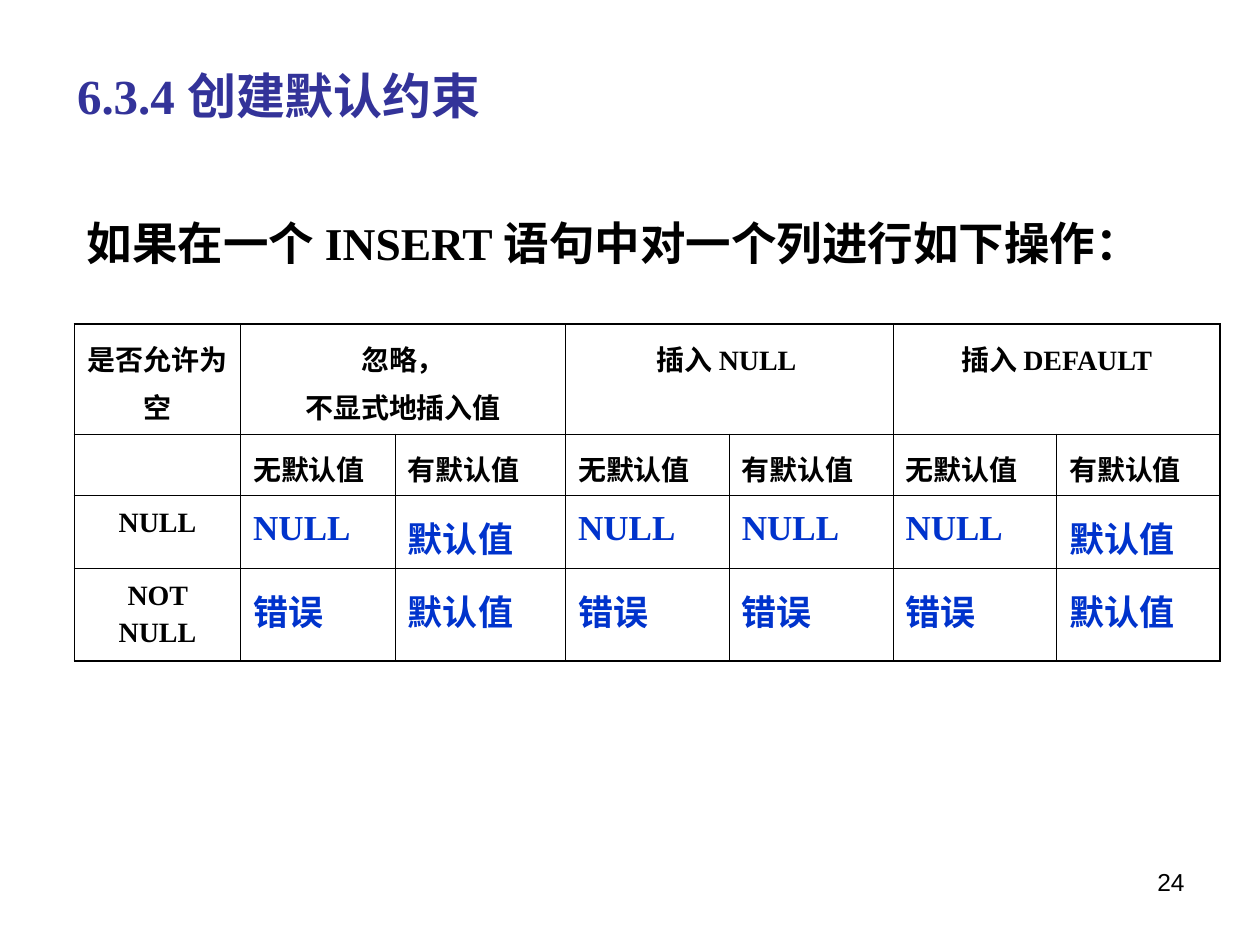
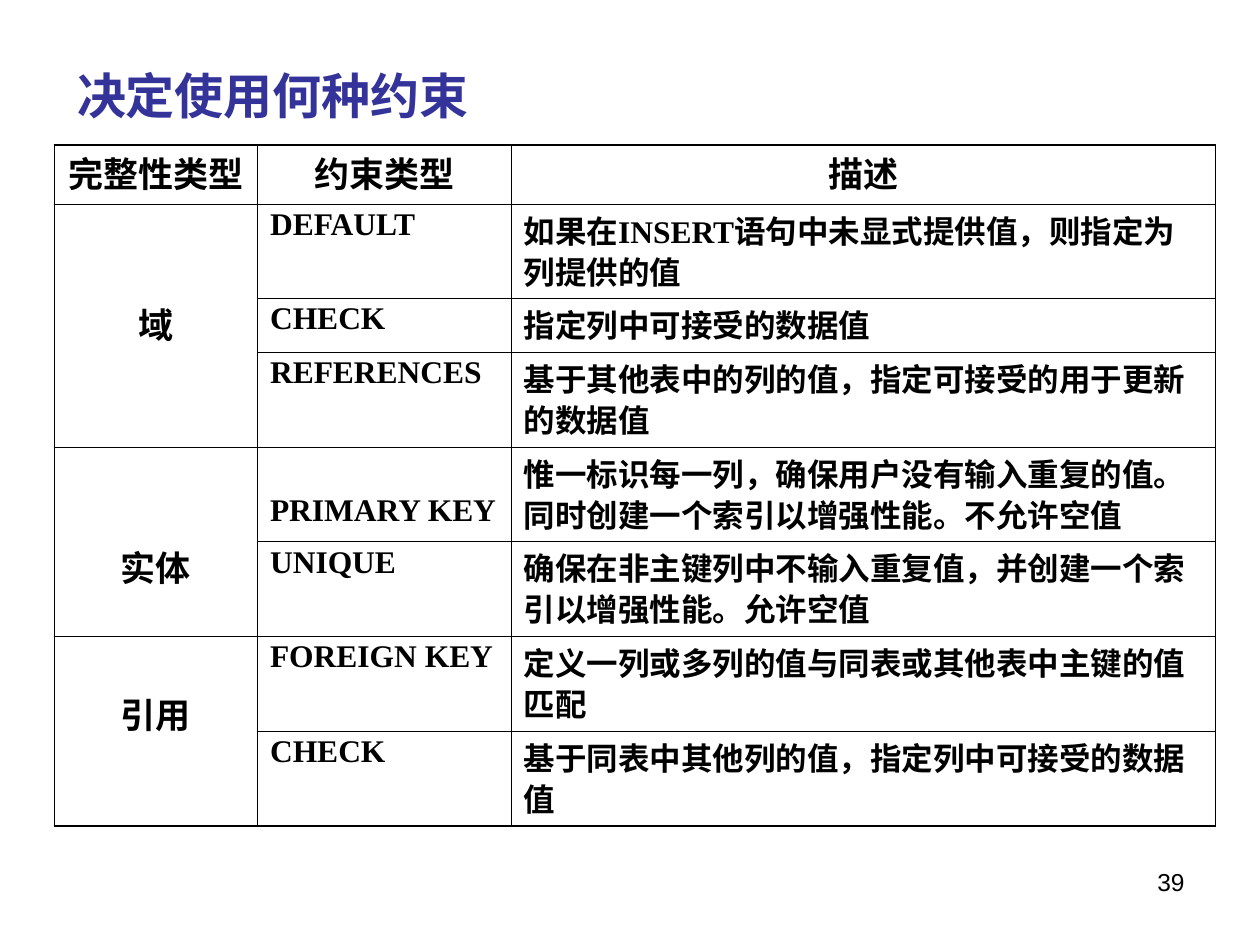
"""Build two slides on default constraints and on choosing a constraint type."""
from dataclasses import dataclass

from lxml import etree
from pptx import Presentation
from pptx import util as u
from pptx.dml.color import RGBColor
from pptx.enum import text
from pptx.oxml import ns

CENTER = text.PP_ALIGN.CENTER
LEFT = text.PP_ALIGN.LEFT
RIGHT = text.PP_ALIGN.RIGHT
TITLE_ONLY = 5


@dataclass(frozen=True)
class Theme:
    """Colours, fonts, type sizes and line widths of the slides."""
    title_color: str = "333399"
    ink: str = "000000"
    result_color: str = "0033CC"
    shadow: str = "808080"
    serif: str = "Times New Roman"
    sans: str = "Arial"
    chinese: str = "Noto Sans CJK SC"
    title_size: int = 28
    lead_size: int = 26
    large: int = 20
    medium: int = 18
    small: int = 16
    number_size: int = 14
    outer_line: float = 1.08
    inner_line: float = 0.45


THEME = Theme()

INSERT_RESULTS = [
    ["是否允许为空", "忽略，\n不显式地插入值", "", "插入 |NULL ", "", "插入 |DEFAULT", ""],
    [""] + ["无默认值", "有默认值"] * 3,
    ["NULL", "NULL", "默认值", "NULL", "NULL", "NULL", "默认值"],
    ["NOT NULL", "错误", "默认值", "错误", "错误", "错误", "默认值"],
]

CONSTRAINTS = [
    ["完整性类型", "约束类型", "描述"],
    ["域", "DEFAULT", "如果在|INSERT|语句中未显式提供值，则指定为列提供的值"],
    ["", "CHECK", "指定列中可接受的数据值"],
    ["", "REFERENCES", "基于其他表中的列的值，指定可接受的用于更新的数据值"],
    ["实体", "PRIMARY KEY",
     "惟一标识每一列，确保用户没有输入重复的值。同时创建一个索引以增强性能。不允许空值"],
    ["", "UNIQUE", "确保在非主键列中不输入重复值，并创建一个索引以增强性能。允许空值"],
    ["引用", "FOREIGN KEY", "定义一列或多列的值与同表或其他表中主键的值匹配"],
    ["", "CHECK", "基于同表中其他列的值，指定列中可接受的数据值"],
]


def add_element(parent, tag, **attributes):
    """Append a DrawingML child element and return it."""
    return etree.SubElement(parent, ns.qn(tag), attributes)


def write(paragraph, content, size, color=THEME.ink, bold=True, font=None,
          align=LEFT, spacing=None):
    """Fill a paragraph; a bar in the content separates scripts."""
    parts = content.split("|")
    if len(parts) == 1:
        paragraph.text = content
    else:
        for part in parts:
            run = paragraph.add_run()
            run.text = part
            run.font.name = THEME.serif if part.isascii() else THEME.chinese
    paragraph.alignment = align
    paragraph.line_spacing = spacing
    paragraph.font.size = u.Pt(size)
    paragraph.font.bold = bold
    paragraph.font.color.rgb = RGBColor.from_string(color)
    paragraph.font.name = font or (THEME.serif if content.isascii() else THEME.chinese)
    latin = paragraph._p.pPr.find(".//" + ns.qn("a:latin"))
    east_asian = add_element(latin.getparent(), "a:ea", typeface=THEME.chinese)
    latin.addnext(east_asian)


def add_text_shadow(paragraph):
    """Give the runs of a paragraph a small grey shadow."""
    for run in paragraph.runs:
        effects = add_element(run._r.get_or_add_rPr(), "a:effectLst")
        shadow = add_element(effects, "a:outerShdw", dist="35921", dir="2700000")
        add_element(shadow, "a:srgbClr", val=THEME.shadow)


def add_titled_slide(presentation, title, width, font):
    """Add a title-only slide and format its title."""
    slide = presentation.slides.add_slide(presentation.slide_layouts[TITLE_ONLY])
    shape = slide.shapes.title
    shape.left, shape.top = u.Cm(1.3), u.Cm(1.14)
    shape.width, shape.height = u.Cm(width), u.Cm(1.55)
    frame = shape.text_frame
    frame.auto_size = text.MSO_AUTO_SIZE.NONE
    frame.vertical_anchor = text.MSO_ANCHOR.MIDDLE
    write(frame.paragraphs[0], title, THEME.title_size, THEME.title_color, font=font)
    add_text_shadow(frame.paragraphs[0])
    return slide


def add_text(slide, box, content, size, **style):
    """Add a wrapping text box of one paragraph."""
    frame = slide.shapes.add_textbox(*map(u.Cm, box)).text_frame
    frame.word_wrap = True
    write(frame.paragraphs[0], content, size, **style)


def add_slide_number(slide, number):
    """Add the page number at the lower right."""
    add_text(slide, (18.21, 17.35, 5.92, 1.32), str(number), THEME.number_size,
             bold=False, font=THEME.sans, align=RIGHT)


def draw_borders(cell, outer_sides):
    """Draw the four sides of a cell, heavier on the table's edge."""
    properties = cell._tc.get_or_add_tcPr()
    for index, side in enumerate("LRTB"):
        points = THEME.outer_line if side in outer_sides else THEME.inner_line
        line = etree.Element(ns.qn(f"a:ln{side}"), w=str(u.Pt(points)))
        add_element(add_element(line, "a:solidFill"), "a:srgbClr", val=THEME.ink)
        properties.insert(index, line)


def add_grid(slide, corner, widths, heights, rows, merges, style_of):
    """Add a ruled table; style_of gives the text style of a cell."""
    size = sum(widths), sum(heights)
    table = slide.shapes.add_table(len(rows), len(widths), *map(u.Cm, corner + size)).table
    table.first_row = table.horz_banding = False
    for column, width in zip(table.columns, widths):
        column.width = u.Cm(width)
    for row, height in zip(table.rows, heights):
        row.height = u.Cm(height)
    for first, last in merges:
        table.cell(*first).merge(table.cell(*last))
    for r, row in enumerate(rows):
        for c, content in enumerate(row):
            cell = table.cell(r, c)
            cell.fill.background()
            edges = {"L": c == 0, "T": r == 0,
                     "R": c + cell.span_width == len(widths),
                     "B": r + cell.span_height == len(rows)}
            draw_borders(cell, [side for side, outer in edges.items() if outer])
            if not cell.is_spanned:
                write(cell.text_frame.paragraphs[0], content, **style_of(r, c))
    return table


def insert_result_style(row, column):
    """Return the text style of a cell in the insert table."""
    is_result = row > 1 and column > 0
    return {"size": THEME.large if is_result else THEME.small,
            "color": THEME.result_color if is_result else THEME.ink,
            "align": CENTER if row == 0 or column == 0 else LEFT,
            "spacing": 1.2}


def constraint_style(row, column):
    """Return the text style of a cell in the constraint table."""
    is_heading = row == 0 or column == 0
    return {"size": THEME.large if is_heading else THEME.medium,
            "align": CENTER if is_heading else LEFT,
            "spacing": 0.9}


def build_default_slide(presentation):
    """Build the slide on default constraints."""
    slide = add_titled_slide(presentation, "6.3.4 创建默认约束", 17.17, THEME.serif)
    add_text(slide, (1.5, 3.93, 23.01, 1.8), "如果在一个 |INSERT |语句中对一个列进行如下操作：",
             THEME.lead_size, spacing=1.25)
    merges = [((0, c), (0, c + 1)) for c in (1, 3, 5)]
    add_grid(slide, (1.5, 6.53), [3.35, 3.12, 3.43] + [3.3] * 4,
             [2.22, 1.23, 1.47, 1.88], INSERT_RESULTS, merges, insert_result_style)
    add_slide_number(slide, 24)


def build_choice_slide(presentation):
    """Build the slide on choosing a constraint."""
    slide = add_titled_slide(presentation, "决定使用何种约束", 11.66, THEME.sans)
    merges = [((first, 0), (last, 0)) for first, last in ((1, 3), (4, 5), (6, 7))]
    table = add_grid(slide, (1.1, 2.92), [4.09, 5.11, 14.2],
                     [1.19, 1.65, 0.94, 1.65, 1.88, 1.65, 1.65, 1.65],
                     CONSTRAINTS, merges, constraint_style)
    for row, column, margin in ((1, 0, 1.98), (4, 0, 1.98), (6, 0, 1.12), (4, 1, 1)):
        table.cell(row, column).margin_top = u.Cm(margin)
    add_slide_number(slide, 39)


def main():
    """Build and save the presentation."""
    presentation = Presentation()
    presentation.slide_width, presentation.slide_height = u.Cm(25.4), u.Cm(19.05)
    build_default_slide(presentation)
    build_choice_slide(presentation)
    presentation.save("out.pptx")


if __name__ == "__main__":
    main()
